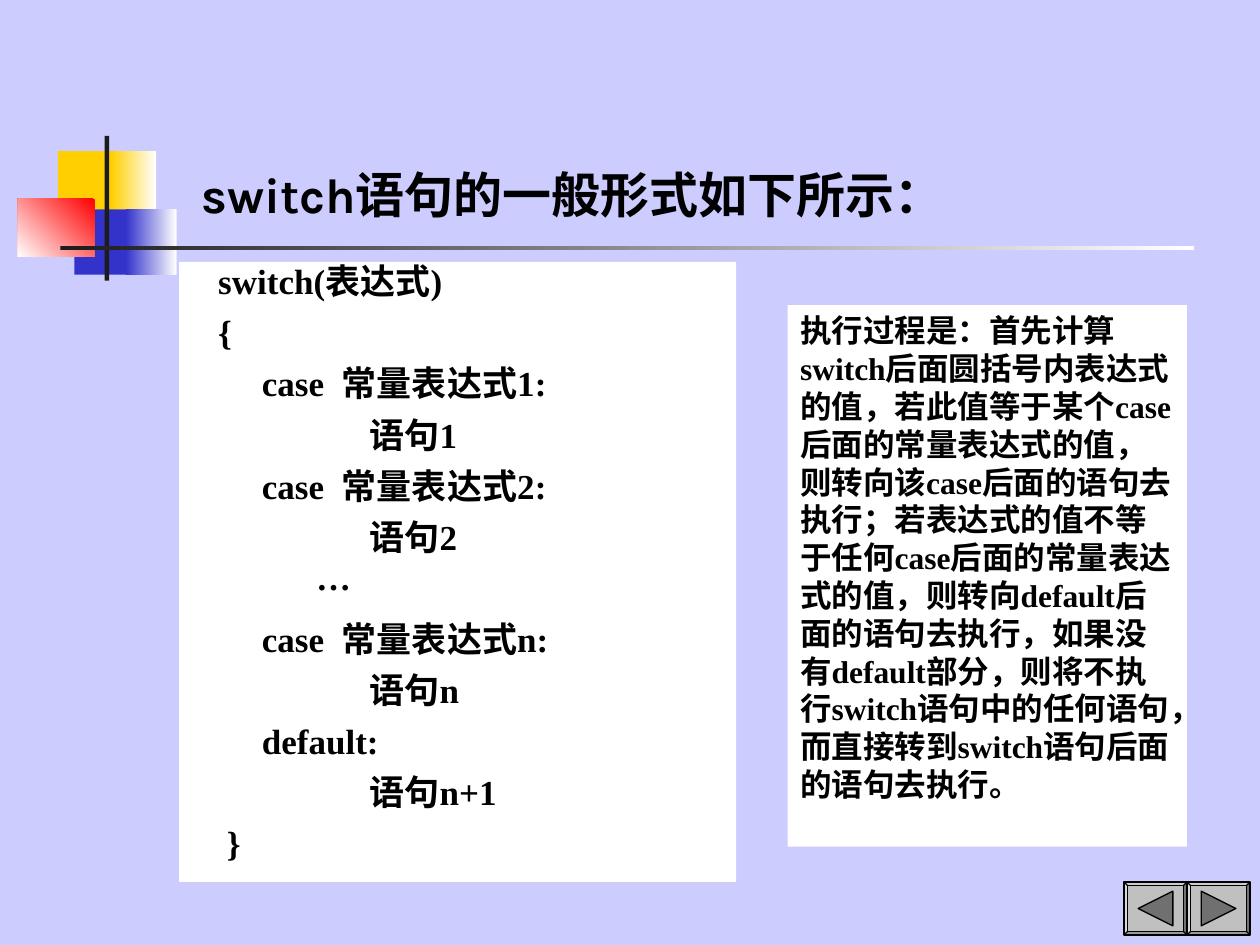
from itertools import groupby

from lxml import etree
from pptx import Presentation
from pptx.dml.color import RGBColor
from pptx.enum.shapes import MSO_SHAPE
from pptx.enum.text import MSO_ANCHOR
from pptx.oxml.ns import qn
from pptx.util import Cm, Pt

RECT, BEVEL = MSO_SHAPE.RECTANGLE, MSO_SHAPE.BEVEL
TOP, BOTTOM = MSO_ANCHOR.TOP, MSO_ANCHOR.BOTTOM

THEME = {
    "bg": "CCCCFF", "panel": "FFFFFF", "text": "000000",
    "yellow": "FFCF01", "blue": "3333CC", "red": "FF0000", "white": "FFFFFF",
    "dark": "1C1C1C", "button": "C0C0C0", "arrow": "707070", "line": "000000",
    "cjk": "Noto Sans CJK SC", "title_font": "Karla", "body_font": "Times New Roman",
    "title_size": 28, "code_size": 20, "note_size": 18,
}

# Content
TITLE = "switch语句的一般形式如下所示："
CODE = [
    "switch(表达式)",
    "{",
    "     case  常量表达式1:",
    "                   语句1",
    "     case  常量表达式2:",
    "                   语句2",
    "　        …",
    "     case  常量表达式n:",
    "                   语句n",
    "     default:",
    "                   语句n+1",
    " }",
]
NOTE = (
    "执行过程是：首先计算switch后面圆括号内表达式的值，若此值等于某个case后面的"
    "常量表达式的值，则转向该case后面的语句去执行；若表达式的值不等于任何case后面的"
    "常量表达式的值，则转向default后面的语句去执行，如果没有default部分，则将不执行"
    "switch语句中的任何语句，而直接转到switch语句后面的语句去执行。"
)

# Ornament: left, top, width, height (cm), colours, gradient angle
ORNAMENT = [
    (1.17, 3.05, 1.22, 1.32, ["yellow"], 0),
    (2.24, 3.05, 0.91, 1.32, ["yellow", "white"], 0),
    (1.5, 4.22, 1.17, 1.32, ["blue"], 0),
    (2.54, 4.22, 1.02, 1.32, ["blue", "white"], 0),
    (0.36, 4.01, 1.55, 1.17, ["red", "white"], 225),
    (2.11, 2.74, 0.09, 2.92, ["dark"], 0),
    (1.22, 4.95, 22.86, 0.09, ["dark", "white"], 0),
]

# Navigation buttons: left edge and arrow direction
BUTTONS = [(23.93, 1), (22.66, -1)]
BUTTON_TOP, BUTTON_W, BUTTON_H = 17.78, 1.27, 1.07
ARROW_HALF = 0.35


def color(name):
    return RGBColor.from_string(THEME[name])


def paint(sp, colors, angle=0, line=None):
    sp.shadow.inherit = False
    if len(colors) == 1:
        sp.fill.solid()
        sp.fill.fore_color.rgb = color(colors[0])
    else:
        sp.fill.gradient()
        sp.fill.gradient_angle = angle
        for stop, name, position in zip(sp.fill.gradient_stops, colors, (0, 1)):
            stop.color.rgb = color(name)
            stop.position = position
    if line:
        sp.line.color.rgb = color(line)
        sp.line.width = Pt(0.75)
    else:
        sp.line.fill.background()


def split_scripts(text):
    """Split text into Chinese and Latin pieces; a space follows what precedes it."""
    flags, chinese = [], False
    for ch in text:
        if ch != " ":
            chinese = ord(ch) > 0x2000
        flags.append((chinese, ch))
    for chinese, group in groupby(flags, key=lambda item: item[0]):
        yield chinese, "".join(ch for _, ch in group)


def add_text(s, box, lines, latin, size, spacing=None, gap=0, left=0.25,
             anchor=TOP, fill=None):
    sp = s.shapes.add_textbox(*(Cm(v) for v in box))
    if fill:
        sp.fill.solid()
        sp.fill.fore_color.rgb = color(fill)
    tf = sp.text_frame
    tf.word_wrap = True
    tf.vertical_anchor = anchor
    tf.margin_left, tf.margin_right = Cm(left), Cm(0.25)
    tf.margin_top = tf.margin_bottom = Cm(0.13)
    for i, line in enumerate(lines):
        p = tf.paragraphs[0] if i == 0 else tf.add_paragraph()
        if spacing:
            p.line_spacing = Pt(spacing)
        p.space_before = Pt(gap if i else 0)
        p.space_after = Pt(gap)
        for chinese, piece in split_scripts(line):
            r = p.add_run()
            r.text = piece
            r.font.size, r.font.bold = Pt(THEME[size]), True
            r.font.color.rgb = color("text")
            r.font.name = THEME["cjk" if chinese else latin]
            ea = etree.SubElement(r.font._element, qn("a:ea"))
            ea.set("typeface", THEME["cjk"])


def add_button(s, left, direction):
    sp = s.shapes.add_shape(BEVEL, Cm(left), Cm(BUTTON_TOP), Cm(BUTTON_W), Cm(BUTTON_H))
    sp.adjustments[0] = 0.07
    paint(sp, ["button"], line="line")
    x, y = left + BUTTON_W / 2, BUTTON_TOP + BUTTON_H / 2
    base, tip = x - direction * ARROW_HALF, x + direction * ARROW_HALF
    fb = s.shapes.build_freeform(Cm(base), Cm(y - ARROW_HALF))
    fb.add_line_segments([(Cm(tip), Cm(y)), (Cm(base), Cm(y + ARROW_HALF))], close=True)
    paint(fb.convert_to_shape(), ["arrow"], line="line")


def main():
    prs = Presentation()
    prs.slide_width, prs.slide_height = Cm(25.4), Cm(19.05)
    s = prs.slides.add_slide(prs.slide_layouts[6])
    s.background.fill.solid()
    s.background.fill.fore_color.rgb = color("bg")

    # Ornament
    for *box, colors, angle in ORNAMENT:
        paint(s.shapes.add_shape(RECT, *(Cm(v) for v in box)), colors, angle)

    # Title, code panel and explanation
    add_text(s, (3.81, 3.18, 16.94, 1.45), [TITLE], "title_font", "title_size",
             anchor=BOTTOM)
    add_text(s, (3.61, 5.28, 11.23, 12.5), CODE, "body_font", "code_size",
             spacing=19.2, gap=5, left=0.79, fill="panel")
    add_text(s, (15.88, 6.15, 8.05, 10.92), [NOTE], "body_font", "note_size",
             spacing=21.6, fill="panel")

    # Navigation buttons
    for left, direction in BUTTONS:
        add_button(s, left, direction)

    prs.save("out.pptx")


if __name__ == "__main__":
    main()
